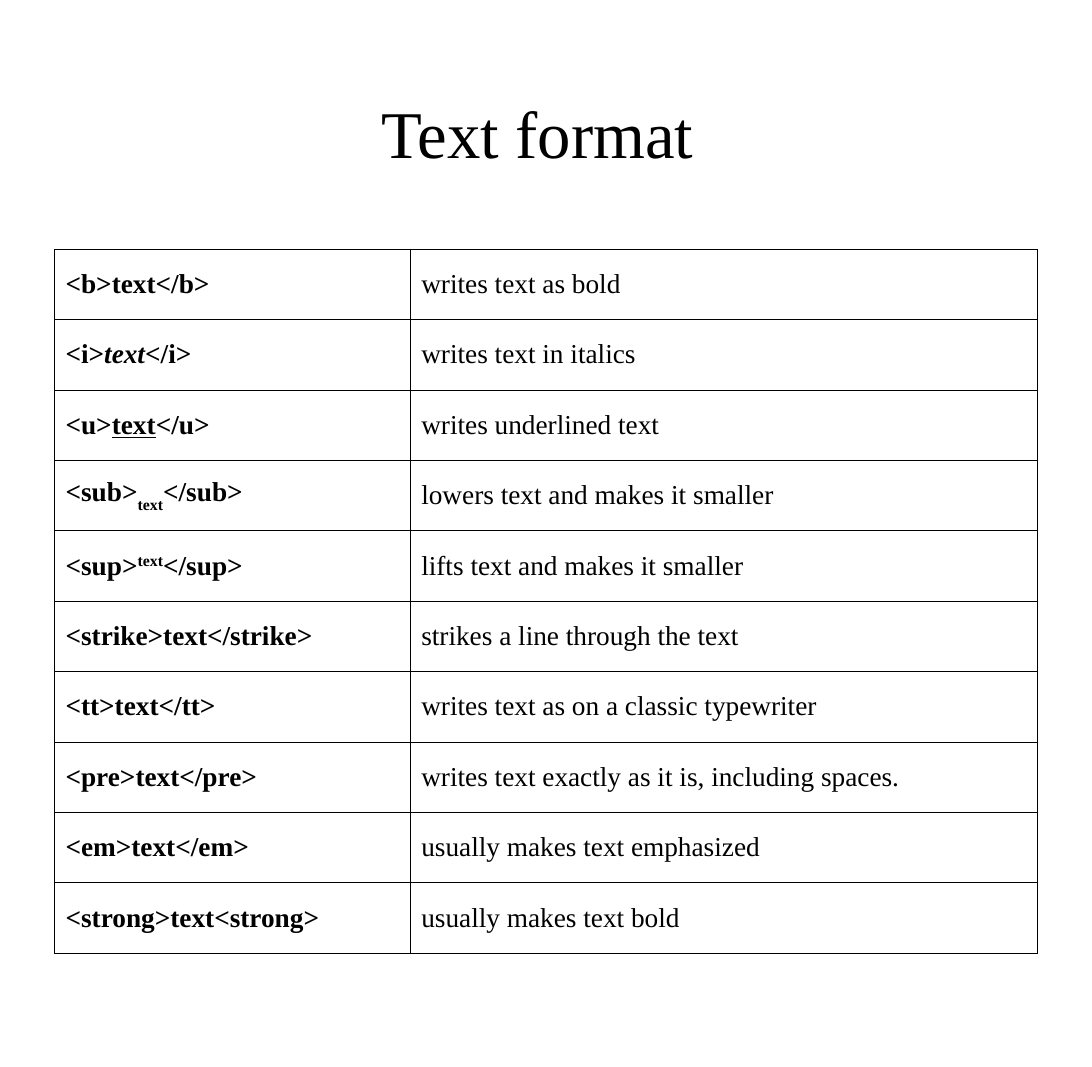
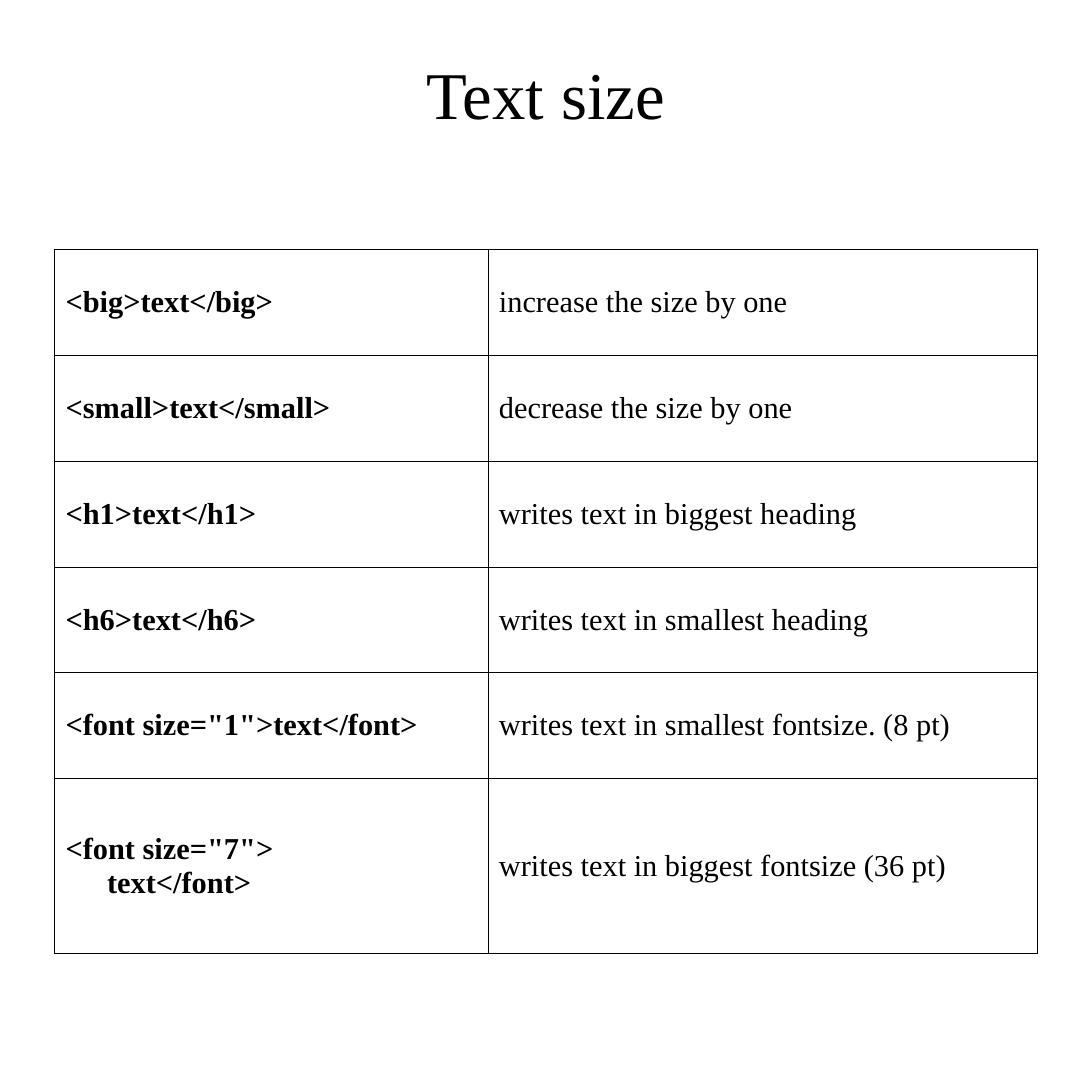
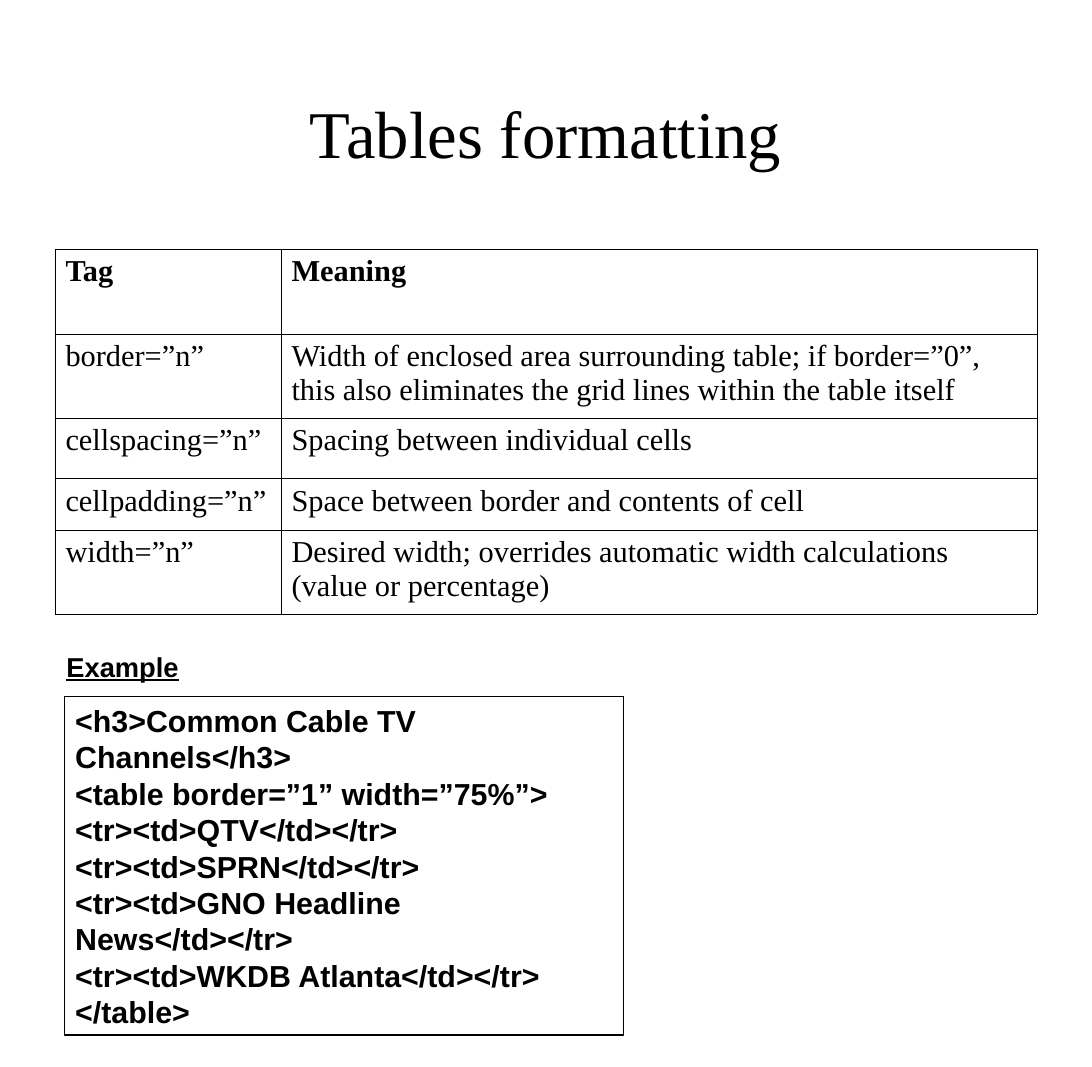
import pptx
import pptx.dml.color
import pptx.enum.shapes
import pptx.enum.text
import pptx.oxml
import pptx.oxml.ns
import pptx.util

COLORS = {"ink": "000000", "paper": "FFFFFF"}
SERIF, SANS = "Times New Roman", "Arial"
WIDTH, HEIGHT = 10, 9.77
TITLE_BOX = (0.05, 0.04, 0.9, 0.167)
TABLE_BOX = (0.05, 0.2335, 0.9, 0.66)
SHORT_TABLE_BOX = (0.05, 0.2335, 0.9, 0.342)
EXAMPLE_BOX = (0.051, 0.604, 0.181, 0.041)
CODE_BOX = (0.059, 0.653, 0.512, 0.317)
HANGING = 0.38
ANCHOR = pptx.enum.text.MSO_ANCHOR
AUTO_SIZE = pptx.enum.text.MSO_AUTO_SIZE
ALIGN = pptx.enum.text.PP_ALIGN

FORMAT_ROWS = [
    ("<b>text</b>", "writes text as bold"),
    (["<i>", ("text", {"italic": True}), "</i>"], "writes text in italics"),
    (["<u>", ("text", {"underline": True}), "</u>"], "writes underlined text"),
    (["<sub>", ("text", {"baseline": -30}), "</sub>"], "lowers text and makes it smaller"),
    (["<sup>", ("text", {"baseline": 30}), "</sup>"], "lifts text and makes it smaller"),
    ("<strike>text</strike>", "strikes a line through the text"),
    ("<tt>text</tt>", "writes text as on a classic typewriter"),
    ("<pre>text</pre>", "writes text exactly as it is, including spaces."),
    ("<em>text</em>", "usually makes text emphasized"),
    ("<strong>text<strong>", "usually makes text bold"),
]
SIZE_ROWS = [
    ("<big>text</big>", "increase the size by one"),
    ("<small>text</small>", "decrease the size by one"),
    ("<h1>text</h1>", "writes text in biggest heading"),
    ("<h6>text</h6>", "writes text in smallest heading"),
    ('<font size="1">text</font>', "writes text in smallest fontsize. (8 pt)"),
    ('<font size="7">\ntext</font>', "writes text in biggest fontsize (36 pt)"),
]
ATTRIBUTE_ROWS = [
    ("Tag", "Meaning"),
    ("border=”n”", "Width of enclosed area surrounding table; if border=”0”, "
     "this also eliminates the grid lines within the table itself"),
    ("cellspacing=”n”", "Spacing between individual cells"),
    ("cellpadding=”n”", "Space between border and contents of cell"),
    ("width=”n”", "Desired width; overrides automatic width calculations (value or percentage)"),
]
CODE_LINES = [
    "<h3>Common Cable TV Channels</h3>",
    "<table border=”1” width=”75%”>",
    *(f"<tr><td>{channel}</td></tr>"
      for channel in ("QTV", "SPRN", "GNO Headline News", "WKDB Atlanta")),
    "</table>",
]


def color(name):
    """Return the named colour."""
    return pptx.dml.color.RGBColor.from_string(COLORS[name])


def place(box):
    """Turn shares of the slide's size into left, top, width and height."""
    return [pptx.util.Inches(share * side) for share, side in zip(box, (WIDTH, HEIGHT) * 2)]


def write(paragraph, text, size=20, font=SERIF, bold=False, italic=False, underline=False,
          baseline=0, align=None, hanging=0):
    """Add text to a paragraph with the given format."""
    for number, line in enumerate(text.split("\n")):
        if number:
            paragraph.add_line_break()
        run = paragraph.add_run()
        run.text = line
        run.font.size, run.font.name = pptx.util.Pt(size), font
        run.font.bold, run.font.italic, run.font.underline = bold, italic, underline
        run.font.color.rgb = color("ink")
        if baseline:
            run.font._element.set("baseline", str(baseline * 1000))
    if align is not None:
        paragraph.alignment = align
    if hanging:
        properties = paragraph._p.get_or_add_pPr()
        properties.set("marL", str(pptx.util.Inches(hanging)))
        properties.set("indent", str(-pptx.util.Inches(hanging)))


def add_titled_slide(deck, heading, lift=0):
    """Add a slide with a centred title, raised by the given inches."""
    slide = deck.slides.add_slide(deck.slide_layouts[5])
    title = slide.shapes.title
    title.left, title.top, title.width, title.height = place(TITLE_BOX)
    frame = title.text_frame
    frame.auto_size = AUTO_SIZE.NONE
    frame.vertical_anchor = ANCHOR.MIDDLE
    frame.margin_bottom = pptx.util.Inches(0.05 + 2 * lift)
    write(frame.paragraphs[0], heading, size=44, align=ALIGN.CENTER)
    return slide


def add_borders(cell, points):
    """Draw a thin line on each side of a cell."""
    properties = cell._tc.get_or_add_tcPr()
    for side in "LRTB":
        properties.append(pptx.oxml.parse_xml(
            f'<a:ln{side} {pptx.oxml.ns.nsdecls("a")} w="{pptx.util.Pt(points)}">'
            f'<a:solidFill><a:srgbClr val="{COLORS["ink"]}"/></a:solidFill></a:ln{side}>'))


def add_tag_table(slide, box, rows, tag_share, heights, size=20, border=0.34,
                  anchor=ANCHOR.MIDDLE, header=False, filled=False):
    """Add a two-column table of tags and their meanings."""
    left, top, width, height = place(box)
    table = slide.shapes.add_table(len(rows), 2, left, top, width, height).table
    table.first_row = table.horz_banding = False
    for column, share in zip(table.columns, (tag_share, 1 - tag_share)):
        column.width = int(width * share)
    for row, part in zip(table.rows, heights):
        row.height = int(height * part / sum(heights))
    for row_number, row in enumerate(rows):
        for column_number, content in enumerate(row):
            cell = table.cell(row_number, column_number)
            cell.vertical_anchor = anchor
            add_borders(cell, border)
            if filled and column_number:
                cell.fill.solid()
                cell.fill.fore_color.rgb = color("paper")
            else:
                cell.fill.background()
            bold = row_number == 0 if header else column_number == 0
            hanging = 0 if header and len(content) > 50 else HANGING
            for piece in [content] if isinstance(content, str) else content:
                text, style = (piece, {}) if isinstance(piece, str) else piece
                write(cell.text_frame.paragraphs[0], text, size=size, bold=bold,
                      hanging=hanging, **style)


def add_example(slide):
    """Add the example label and the framed code below it."""
    label = slide.shapes.add_textbox(*place(EXAMPLE_BOX)).text_frame
    label.word_wrap = True
    label.auto_size = AUTO_SIZE.SHAPE_TO_FIT_TEXT
    write(label.paragraphs[0], "Example", size=18, font=SANS, bold=True, underline=True)

    code = slide.shapes.add_shape(pptx.enum.shapes.MSO_SHAPE.RECTANGLE, *place(CODE_BOX))
    code.shadow.inherit = False
    code.fill.background()
    code.line.color.rgb = color("ink")
    code.line.width = pptx.util.Pt(0.75)
    frame = code.text_frame
    frame.word_wrap = True
    frame.auto_size = AUTO_SIZE.SHAPE_TO_FIT_TEXT
    frame.vertical_anchor = ANCHOR.TOP
    for number, line in enumerate(CODE_LINES):
        paragraph = frame.add_paragraph() if number else frame.paragraphs[0]
        write(paragraph, line, font=SANS, bold=True, align=ALIGN.LEFT)


def main():
    """Build the three slides and save them."""
    deck = pptx.Presentation()
    deck.slide_width, deck.slide_height = pptx.util.Inches(WIDTH), pptx.util.Inches(HEIGHT)

    text_format = add_titled_slide(deck, "Text format ")
    add_tag_table(text_format, TABLE_BOX, FORMAT_ROWS, 0.362, [1] * len(FORMAT_ROWS),
                  size=18, filled=True)

    text_size = add_titled_slide(deck, "Text size", lift=0.36)
    add_tag_table(text_size, TABLE_BOX, SIZE_ROWS, 0.441, [0.97] * 5 + [1.6])

    formatting = add_titled_slide(deck, "Tables formatting")
    add_tag_table(formatting, SHORT_TABLE_BOX, ATTRIBUTE_ROWS, 0.23,
                  [0.78, 0.77, 0.55, 0.47, 0.77], border=0.06, anchor=ANCHOR.TOP, header=True)
    add_example(formatting)

    deck.save("out.pptx")


if __name__ == "__main__":
    main()
